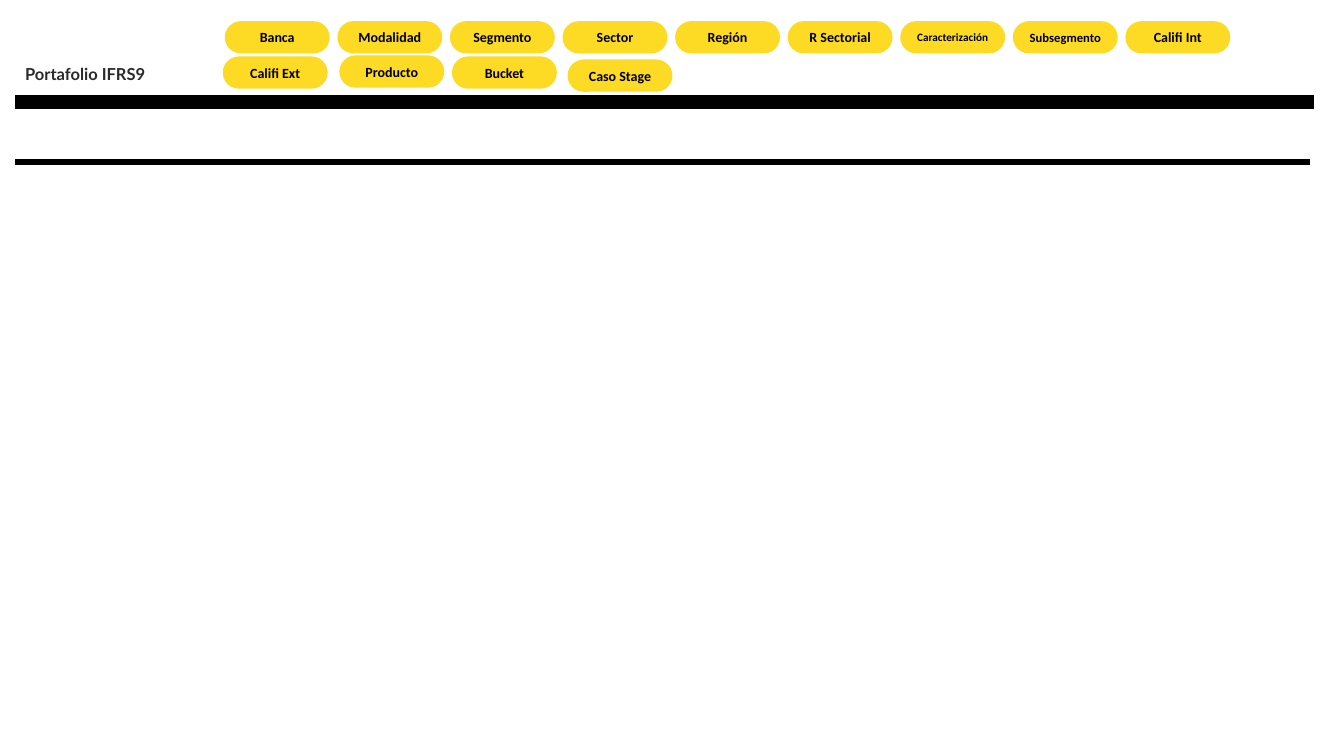
"""Build the IFRS9 portfolio slide with its filter buttons."""
from dataclasses import dataclass

from lxml import etree
from pptx import Presentation
from pptx.dml.color import RGBColor
from pptx.enum.shapes import MSO_CONNECTOR, MSO_SHAPE
from pptx.enum.text import MSO_ANCHOR, MSO_AUTO_SIZE, PP_ALIGN
from pptx.oxml.ns import qn
from pptx.util import Inches, Pt

PILL = MSO_SHAPE.ROUNDED_RECTANGLE
STRAIGHT = MSO_CONNECTOR.STRAIGHT
MIDDLE, TOP = MSO_ANCHOR.MIDDLE, MSO_ANCHOR.TOP
CENTER, LEFT = PP_ALIGN.CENTER, PP_ALIGN.LEFT
NO_FIT = MSO_AUTO_SIZE.NONE


@dataclass(frozen=True)
class Theme:
    """Colours, fonts and type sizes of the slide."""
    yellow: RGBColor = RGBColor(0xFD, 0xDA, 0x24)
    black: RGBColor = RGBColor(0, 0, 0)
    charcoal: RGBColor = RGBColor(0x2C, 0x2A, 0x29)
    title_font: str = "Lato"
    button_font: str = "Calibri"
    title_size: float = 11.8
    button_size: float = 10
    medium_size: float = 9
    small_size: float = 8


@dataclass(frozen=True)
class Grid:
    """Button grid and margin, in inches."""
    margin: float = 0.15
    left: float = 2.23
    top: float = 0.21
    column: float = 1.1165
    row: float = 0.35
    width: float = 1.04
    height: float = 0.32


THEME = Theme()
GRID = Grid()
FIRST_ROW = ("Banca", "Modalidad", "Segmento", "Sector", "Región", "R Sectorial",
             "Caracterización", "Subsegmento", "Califi Int")
SECOND_ROW = (("Califi Ext", -0.02, 0), ("Producto", 0.02, -0.01),
              ("Bucket", 0.02, 0), ("Caso Stage", 0.05, 0.03))
LABEL_SIZES = {"Caracterización": THEME.small_size, "Subsegmento": THEME.medium_size}


def style_text(para, font_name, size, color, align):
    """Format a paragraph in bold."""
    para.alignment = align
    para.font.name = font_name
    para.font.size = Pt(size)
    para.font.bold = True
    para.font.color.rgb = color


def add_title(page, text):
    """Place and format the title placeholder."""
    title = page.shapes.title
    title.left, title.top = Inches(GRID.margin), Inches(0.58)
    title.width, title.height = Inches(1.56), Inches(0.3)
    frame = title.text_frame
    frame.text = text
    frame.word_wrap = True
    frame.auto_size = NO_FIT
    frame.vertical_anchor = TOP
    style_text(frame.paragraphs[0], THEME.title_font, THEME.title_size,
               THEME.charcoal, LEFT)


def add_button(page, label, column, row, shift_x=0, shift_y=0):
    """Add a yellow pill at a grid cell, with an optional shift in inches."""
    button = page.shapes.add_shape(
        PILL,
        Inches(GRID.left + column * GRID.column + shift_x),
        Inches(GRID.top + row * GRID.row + shift_y),
        Inches(GRID.width), Inches(GRID.height))
    button.adjustments[0] = 0.5
    button.shadow.inherit = False
    button.fill.solid()
    button.fill.fore_color.rgb = THEME.yellow
    button.line.fill.background()
    frame = button.text_frame
    frame.text = label
    frame.word_wrap = True
    frame.vertical_anchor = MIDDLE
    style_text(frame.paragraphs[0], THEME.button_font,
               LABEL_SIZES.get(label, THEME.button_size), THEME.black, CENTER)


def add_rule(page, top, right, weight):
    """Add a horizontal black rule from the left margin."""
    rule = page.shapes.add_connector(
        STRAIGHT, Inches(GRID.margin), Inches(top), Inches(right), Inches(top))
    rule.line.color.rgb = THEME.black
    rule.line.width = Pt(weight)
    etree.SubElement(rule._element.spPr, qn("a:effectLst"))


def main():
    """Build and save the deck."""
    deck = Presentation()
    deck.slide_width, deck.slide_height = Inches(13.33), Inches(7.5)
    page = deck.slides.add_slide(deck.slide_layouts.get_by_name("Title Only"))
    add_title(page, "Portafolio IFRS9")
    add_rule(page, 1.01, 13.03, 10)
    for column, label in enumerate(FIRST_ROW):
        add_button(page, label, column, 0)
    for column, (label, shift_x, shift_y) in enumerate(SECOND_ROW):
        add_button(page, label, column, 1, shift_x, shift_y)
    add_rule(page, 1.61, 12.99, 4.5)
    deck.save("out.pptx")


if __name__ == "__main__":
    main()
